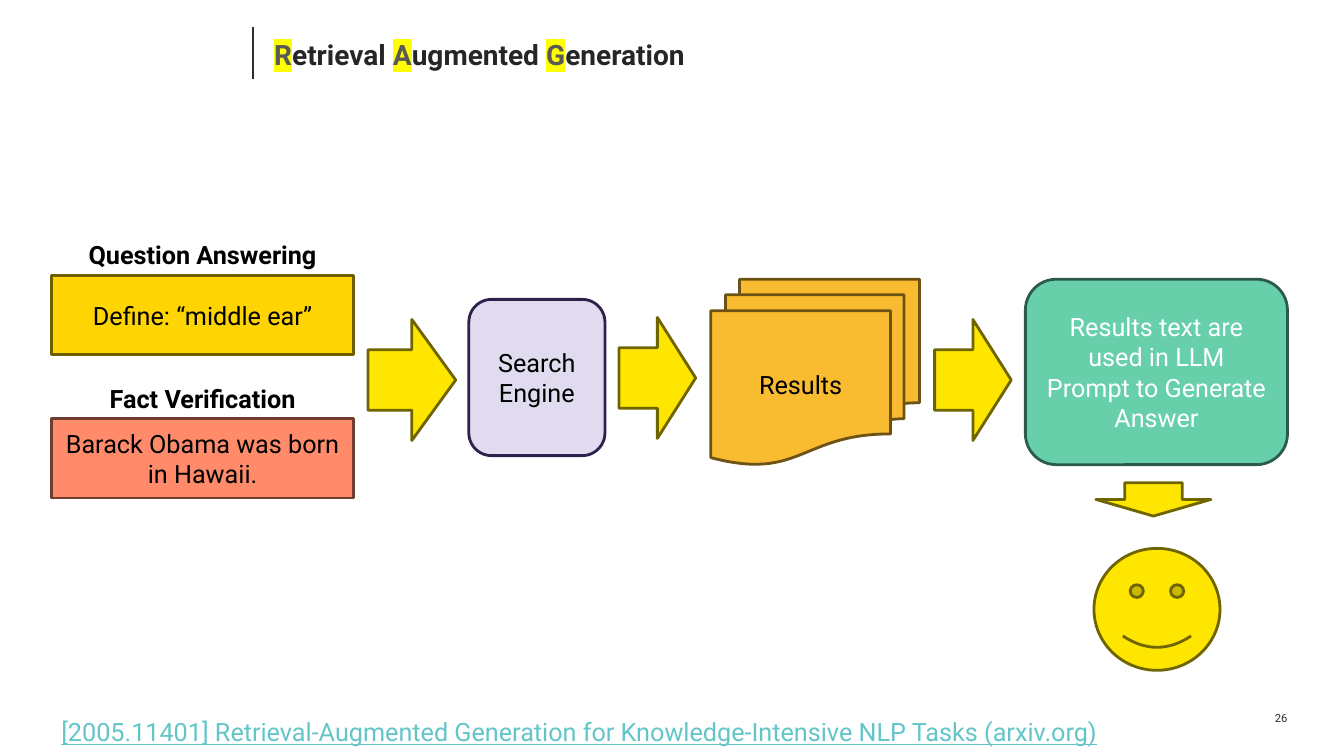
from lxml import etree
from pptx import Presentation
from pptx.dml.color import RGBColor
from pptx.enum.shapes import MSO_CONNECTOR, MSO_SHAPE
from pptx.enum.text import MSO_ANCHOR, PP_ALIGN
from pptx.oxml.ns import qn
from pptx.util import Inches, Pt

RECT, ROUNDED = MSO_SHAPE.RECTANGLE, MSO_SHAPE.ROUNDED_RECTANGLE
RIGHT, DOWN = MSO_SHAPE.RIGHT_ARROW, MSO_SHAPE.DOWN_ARROW
DOCUMENTS, SMILEY = MSO_SHAPE.FLOWCHART_MULTIDOCUMENT, MSO_SHAPE.SMILEY_FACE
STRAIGHT = MSO_CONNECTOR.STRAIGHT
TOP, MIDDLE = MSO_ANCHOR.TOP, MSO_ANCHOR.MIDDLE
LEFT_ALIGN, CENTER, RIGHT_ALIGN = PP_ALIGN.LEFT, PP_ALIGN.CENTER, PP_ALIGN.RIGHT

FONT = "Roboto"
BLACK, WHITE, INK = "000000", "FFFFFF", "2B2D34"
YELLOW, OLIVE = "FEE600", "6F6500"

TITLE_WORDS = ["Retrieval ", "Augmented ", "Generation"]
CITATION = ("[2005.11401] Retrieval-Augmented Generation for "
            "Knowledge-Intensive NLP Tasks (arxiv.org)")
PAGE_NUMBER = "26"

QUERY_LEFT, QUERY_WIDTH, HEADING_HEIGHT, QUERY_HEIGHT = 0.51, 3, 0.4, 0.79
QUERIES = [
    ("Question Answering", "Define: “middle ear”", 2.33, "FFD403", "705D01"),
    ("Fact Verification", "Barack Obama was born in Hawaii.", 3.75, "FF8B6B", "703D2F"),
]
STAGES = [
    (ROUNDED, (4.65, 2.97, 1.35, 1.55), "E1DBEF", "2E214C", "Search\nEngine", BLACK),
    (DOCUMENTS, (7.05, 2.77, 2.07, 1.84), "F9BB30", "6D5215", "Results", BLACK),
    (ROUNDED, (10.17, 2.77, 2.6, 1.84), "67D0AB", "2D5B4B",
     "Results text are used in LLM Prompt to Generate Answer", WHITE),
]
YELLOW_MARKS = [
    (RIGHT, (3.65, 3.17, 0.87, 1.2)),
    (RIGHT, (6.14, 3.15, 0.76, 1.2)),
    (RIGHT, (9.27, 3.17, 0.76, 1.2)),
    (DOWN, (10.87, 4.79, 1.14, 0.33)),
    (SMILEY, (10.85, 5.44, 1.25, 1.21)),
]


def rgb(value):
    return RGBColor.from_string(value)


def style(paragraph, size, color, align, bold=False):
    paragraph.alignment = align
    font = paragraph.font
    font.name, font.size, font.bold = FONT, Pt(size), bold
    if color:
        font.color.rgb = rgb(color)


def add_text(box, text, size, color, align, bold=False, anchor=TOP, inset=True):
    label = slide.shapes.add_textbox(*map(Inches, box))
    frame = label.text_frame
    frame.word_wrap = True
    frame.vertical_anchor = anchor
    if not inset:
        frame.margin_left = frame.margin_right = 0
        frame.margin_top = frame.margin_bottom = 0
    paragraph = frame.paragraphs[0]
    paragraph.text = text
    style(paragraph, size, color, align, bold)
    return paragraph


def add_block(kind, box, fill, outline, text="", color=BLACK):
    block = slide.shapes.add_shape(kind, *map(Inches, box))
    block.shadow.inherit = False
    block.fill.solid()
    block.fill.fore_color.rgb = rgb(fill)
    block.line.color.rgb = rgb(outline)
    block.line.width = Pt(2)
    if text:
        frame = block.text_frame
        frame.word_wrap = True
        frame.vertical_anchor = MIDDLE
        frame.paragraphs[0].text = text
        style(frame.paragraphs[0], 18, color, CENTER)


def add_title_run(paragraph, text, color, highlight=None):
    run = paragraph.add_run()
    run.text = text
    run.font.color.rgb = rgb(color)
    if highlight:
        marker = etree.SubElement(run.font._element, qn("a:highlight"))
        etree.SubElement(marker, qn("a:srgbClr"), val=highlight)


presentation = Presentation()
presentation.slide_width, presentation.slide_height = Inches(13.33), Inches(7.5)
slide = presentation.slides.add_slide(presentation.slide_layouts[6])

title_rule = slide.shapes.add_connector(STRAIGHT, *map(Inches, (2.51, 0.27, 2.51, 0.78)))
title_rule.line.color.rgb = rgb(INK)
title_rule.line.width = Pt(1)
etree.SubElement(title_rule._element.spPr, qn("a:effectLst"))

title = add_text((2.72, 0.24, 10.3, 0.65), "", 20, None, LEFT_ALIGN,
                 bold=True, anchor=MIDDLE, inset=False)
title.line_spacing = Pt(20)
for word in TITLE_WORDS:
    add_title_run(title, word[0], "595959", "FFFF00")
    add_title_run(title, word[1:], "262626")

for heading, query, top, fill, outline in QUERIES:
    add_block(RECT, (QUERY_LEFT, top + HEADING_HEIGHT, QUERY_WIDTH, QUERY_HEIGHT),
              fill, outline, query)
    add_text((QUERY_LEFT, top, QUERY_WIDTH, HEADING_HEIGHT), heading, 18, BLACK,
             CENTER, bold=True)

for stage in STAGES:
    add_block(*stage)
for kind, box in YELLOW_MARKS:
    add_block(kind, box, YELLOW, OLIVE)

citation = add_text((0.51, 7.06, 10.67, 0.4), CITATION, 18, "64C5C9", LEFT_ALIGN)
citation.font.underline = True
add_text((12.49, 7.06, 0.28, 0.13), PAGE_NUMBER, 8, INK, RIGHT_ALIGN, inset=False)

presentation.save("out.pptx")
